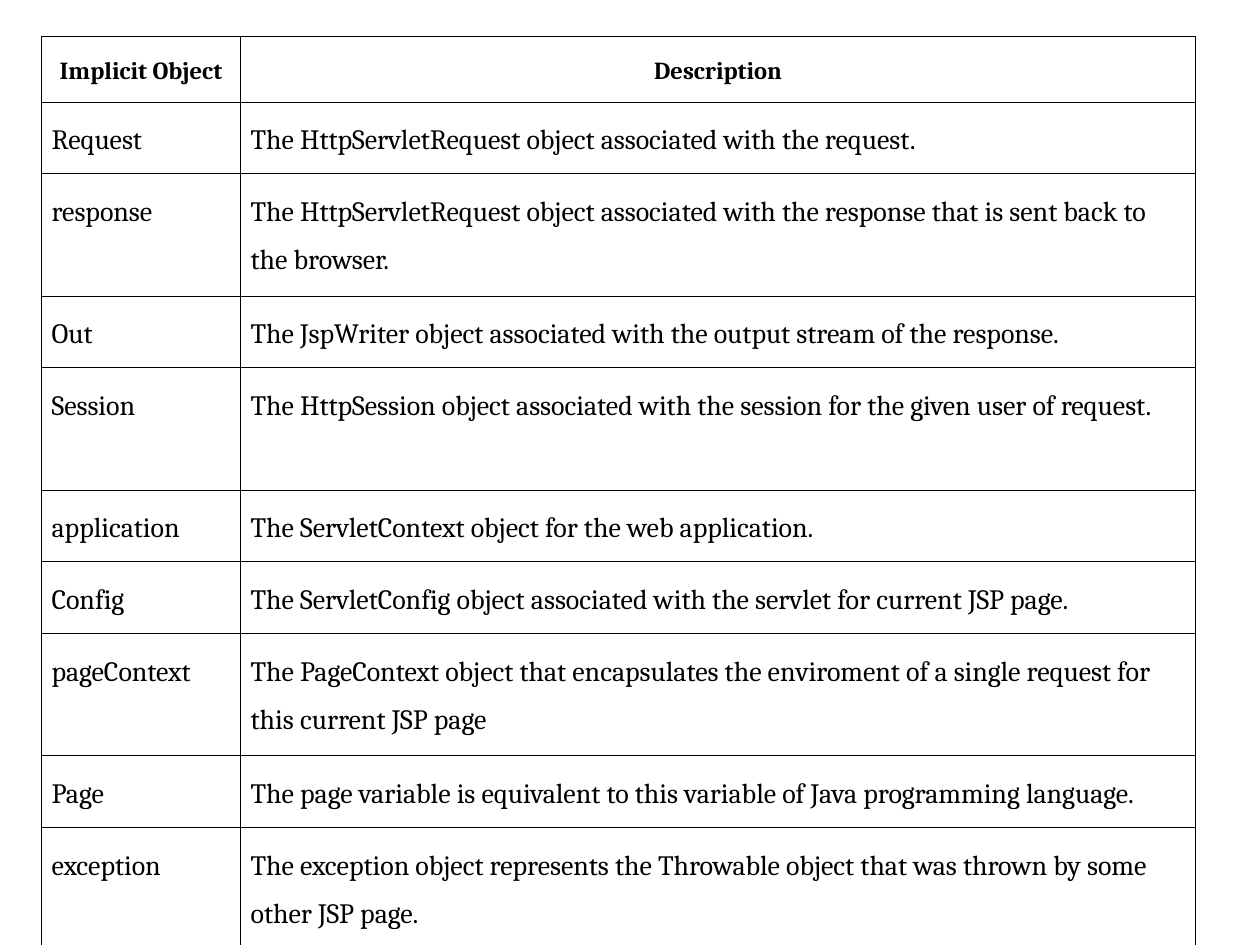
from dataclasses import dataclass

from lxml.etree import SubElement
from pptx import Presentation
from pptx.dml.color import RGBColor
from pptx.enum.text import PP_ALIGN
from pptx.oxml.ns import qn
from pptx.table import _Cell
from pptx.util import Inches, Pt

BLACK = "000000"
FONT = "Cambria"
BORDER_WIDTH = Pt(0.45)
COLUMN_WIDTHS = (1.58, 7.58)
HEADER_HEIGHT, SINGLE_HEIGHT, DOUBLE_HEIGHT = 0.52, 0.57, 0.97


@dataclass(frozen=True)
class Entry:
    name: str
    description: str
    height: float = SINGLE_HEIGHT
    is_header: bool = False


ENTRIES = [
    Entry("Implicit Object", "Description", HEADER_HEIGHT, True),
    Entry("Request", "The HttpServletRequest object associated with the request."),
    Entry("response", "The HttpServletRequest object associated with the response "
          "that is sent back to the browser.", DOUBLE_HEIGHT),
    Entry("Out", "The JspWriter object associated with the output stream of the response."),
    Entry("Session", "The HttpSession object associated with the session for the "
          "given user of request.", DOUBLE_HEIGHT),
    Entry("application", "The ServletContext object for the web application."),
    Entry("Config", "The ServletConfig object associated with the servlet for "
          "current JSP page."),
    Entry("pageContext", "The PageContext object that encapsulates the enviroment of "
          "a single request for this current JSP page", DOUBLE_HEIGHT),
    Entry("Page", "The page variable is equivalent to this variable of Java "
          "programming language."),
    Entry("exception", "The exception object represents the Throwable object that "
          "was thrown by some other JSP page.", DOUBLE_HEIGHT),
]


def color(value: str) -> RGBColor:
    return RGBColor.from_string(value)


def add_borders(cell: _Cell) -> None:
    properties = cell._tc.get_or_add_tcPr()
    for side in ("lnL", "lnR", "lnT", "lnB"):
        line = SubElement(properties, qn(f"a:{side}"), w=str(BORDER_WIDTH))
        fill = SubElement(line, qn("a:solidFill"))
        SubElement(fill, qn("a:srgbClr"), val=BLACK)


def write_cell(cell: _Cell, text: str, is_header: bool) -> None:
    add_borders(cell)
    cell.fill.background()
    cell.margin_left = cell.margin_right = Inches(0.08)
    cell.margin_top = cell.margin_bottom = Inches(0.05)
    cell.text = text
    para = cell.text_frame.paragraphs[0]
    para.alignment = PP_ALIGN.CENTER if is_header else PP_ALIGN.LEFT
    para.line_spacing = 1.5
    para.font.name = FONT
    para.font.size = Pt(14 if is_header else 16)
    para.font.bold = is_header
    para.font.color.rgb = color(BLACK)


def main() -> None:
    """Build the slide listing the JSP implicit objects."""
    deck = Presentation()
    deck.slide_width, deck.slide_height = Inches(10), Inches(7.5)
    page = deck.slides.add_slide(deck.slide_layouts[6])
    table = page.shapes.add_table(
        len(ENTRIES), len(COLUMN_WIDTHS), Inches(0.33), Inches(0.29),
        Inches(sum(COLUMN_WIDTHS)), Inches(sum(entry.height for entry in ENTRIES)),
    ).table
    table.first_row = table.horz_banding = False
    for column, width in zip(table.columns, COLUMN_WIDTHS):
        column.width = Inches(width)
    for row, entry in zip(table.rows, ENTRIES):
        row.height = Inches(entry.height)
        for cell, text in zip(row.cells, (entry.name, entry.description)):
            write_cell(cell, text, entry.is_header)
    deck.save("out.pptx")


if __name__ == "__main__":
    main()
